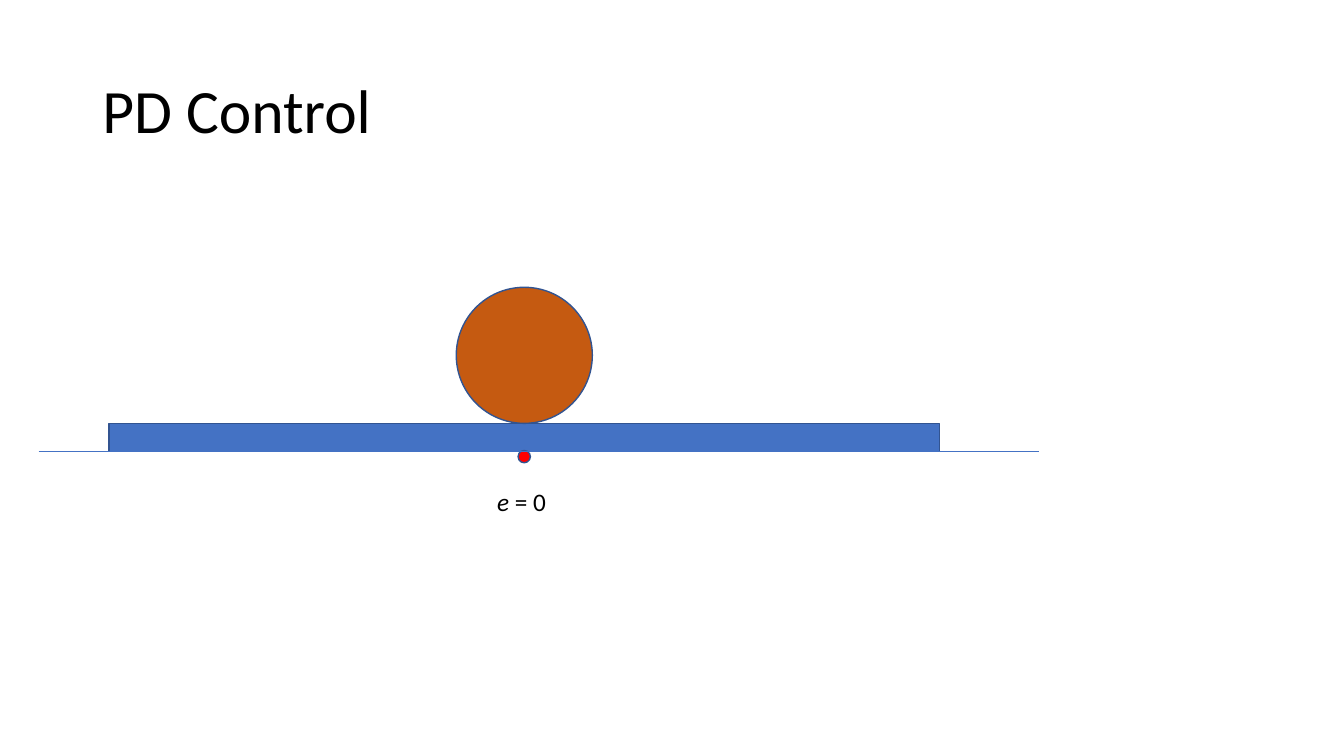
"""Build the PD Control slide: a ball balanced on a plank at zero error."""
from lxml.etree import SubElement
from pptx import Presentation
from pptx.dml.color import RGBColor
from pptx.enum.shapes import MSO_CONNECTOR, MSO_SHAPE
from pptx.enum.text import MSO_ANCHOR, MSO_AUTO_SIZE, PP_ALIGN
from pptx.oxml.ns import qn
from pptx.util import Pt

COLOURS = {
    "text": "000000",
    "plank": "4472C4",
    "outline": "325491",
    "ball": "C55A11",
    "pivot": "FF0000",
    "ground": "4472C4",
}
CENTRE = 374.5
GROUND = 322.5
PLANK_TOP = 302.4
BALL_SIZE = 97.2


def colour(name):
    return RGBColor.from_string(COLOURS[name])


def style_text(para, size):
    para.alignment = PP_ALIGN.LEFT
    for span in para.runs:
        span.font.name = "Calibri"
        span.font.size = Pt(size)
        span.font.color.rgb = colour("text")


deck = Presentation()
deck.slide_width, deck.slide_height = Pt(960), Pt(540)
page = deck.slides.add_slide(deck.slide_layouts[5])

title = page.shapes.title
title.left, title.top, title.width, title.height = Pt(66), Pt(28.75), Pt(828), Pt(104.4)
title.text_frame.text = "PD Control"
title.text_frame.vertical_anchor = MSO_ANCHOR.MIDDLE
title.text_frame.paragraphs[0].line_spacing = 0.9
style_text(title.text_frame.paragraphs[0], 44)

parts = [
    ("plank", MSO_SHAPE.RECTANGLE, PLANK_TOP, 593.3, GROUND - PLANK_TOP),
    ("ball", MSO_SHAPE.OVAL, PLANK_TOP - BALL_SIZE, BALL_SIZE, BALL_SIZE),
    ("pivot", MSO_SHAPE.OVAL, 321.8, 8.8, 8.8),
]
for name, kind, top, width, height in parts:
    shape = page.shapes.add_shape(kind, Pt(CENTRE - width / 2), Pt(top), Pt(width), Pt(height))
    shape.shadow.inherit = False
    shape.fill.solid()
    shape.fill.fore_color.rgb = colour(name)
    shape.line.color.rgb = colour("outline")
    shape.line.width = Pt(1)

ground = page.shapes.add_connector(
    MSO_CONNECTOR.STRAIGHT, Pt(27.6), Pt(GROUND), Pt(742.3), Pt(GROUND)
)
ground.line.color.rgb = colour("ground")
ground.line.width = Pt(0.5)
SubElement(ground._element.spPr, qn("a:effectLst"))

box = page.shapes.add_textbox(Pt(348), Pt(343.8), Pt(75.6), Pt(29))
box.text_frame.word_wrap = True
box.text_frame.auto_size = MSO_AUTO_SIZE.SHAPE_TO_FIT_TEXT
para = box.text_frame.paragraphs[0]
for wording, italic in (("e", True), (" = 0", False)):
    span = para.add_run()
    span.text = wording
    span.font.italic = italic
style_text(para, 18)

deck.save("out.pptx")
